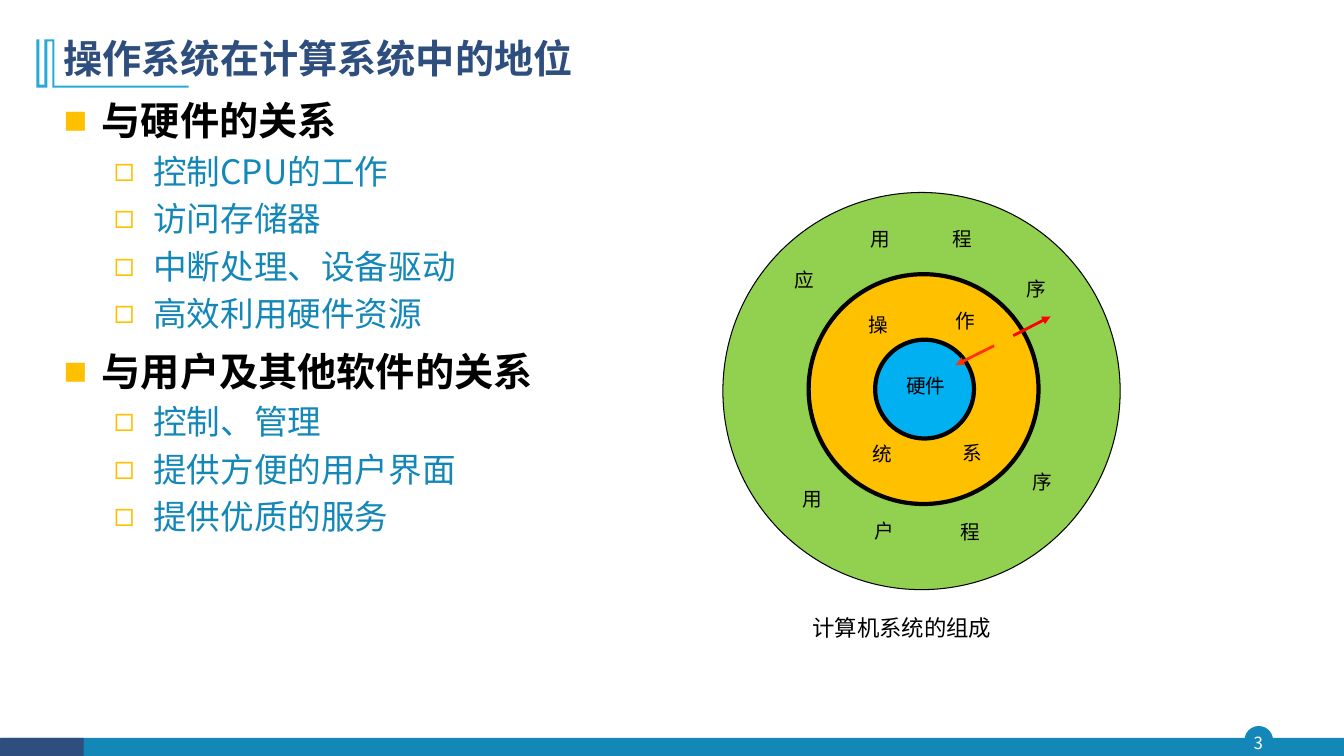
from dataclasses import dataclass

from lxml.etree import SubElement
from pptx import Presentation
from pptx.dml.color import RGBColor
from pptx.enum.shapes import MSO_CONNECTOR, MSO_SHAPE
from pptx.enum.text import MSO_ANCHOR, MSO_AUTO_SIZE, PP_ALIGN
from pptx.oxml.ns import qn
from pptx.util import Inches, Pt


@dataclass(frozen=True)
class Theme:
    navy: str = "2E4E7E"
    teal: str = "1387B7"
    sky: str = "28A9D6"
    amber: str = "FFC000"
    green: str = "92D050"
    blue: str = "00B0F0"
    black: str = "000000"
    white: str = "FFFFFF"
    red: str = "FF0000"
    orange_red: str = "FF3300"
    sans: str = "Noto Sans CJK SC"
    serif: str = "Times New Roman"
    heading: int = 28
    item: int = 24
    caption: int = 16
    label: int = 14
    page_number: int = 12


THEME = Theme()


@dataclass(frozen=True)
class Level:
    """Format of one outline level; indents in inches, spacing in points."""
    bullet: str
    indent: float
    hanging: float
    before: int
    size: int
    color: str
    bold: bool


@dataclass(frozen=True)
class Section:
    heading: str
    items: tuple[str, ...]


@dataclass(frozen=True)
class Ring:
    center_x: float
    center_y: float
    diameter: float
    fill: str
    line_width: float


@dataclass(frozen=True)
class Label:
    text: str
    left: float
    top: float
    width: float = 0.35
    height: float = 0.35


@dataclass(frozen=True)
class Arrow:
    start: tuple[float, float]
    end: tuple[float, float]
    color: str


HEADING = Level("■", 0.38, 0.38, 10, THEME.heading, THEME.black, True)
ITEM = Level("◻", 0.89, 0.39, 5, THEME.item, THEME.teal, False)

SECTIONS = (
    Section("与硬件的关系", ("控制CPU的工作", "访问存储器", "中断处理、设备驱动", "高效利用硬件资源")),
    Section("与用户及其他软件的关系", ("控制、管理", "提供方便的用户界面", "提供优质的服务")),
)

RINGS = (
    Ring(9.14, 3.88, 3.94, THEME.green, 0.75),
    Ring(9.16, 3.86, 2.28, THEME.amber, 3),
    Ring(9.17, 3.86, 0.98, THEME.blue, 3),
)

LABELS = (
    Label("硬件", 8.89, 3.66, 0.7, 0.44),
    Label("操", 8.52, 3.06), Label("作", 9.38, 3.02),
    Label("系", 9.45, 4.32), Label("统", 8.56, 4.33),
    Label("应", 7.78, 2.61), Label("用", 8.54, 2.2),
    Label("程", 9.35, 2.2), Label("序", 10.08, 2.7),
    Label("用", 7.86, 4.78), Label("户", 8.57, 5.1),
    Label("程", 9.43, 5.11), Label("序", 10.14, 4.61),
)

ARROWS = (
    Arrow((10.05, 3.33), (10.42, 3.14), THEME.red),
    Arrow((9.86, 3.43), (9.48, 3.62), THEME.orange_red),
)

TITLE_MARK = (
    (0.54, 0.39), (0.54, 0.85), (1.87, 0.85), (1.87, 0.87), (0.52, 0.87),
    (0.52, 0.41), (0.47, 0.41), (0.47, 0.87), (0.36, 0.87), (0.36, 0.39),
    (0.39, 0.39), (0.39, 0.84), (0.44, 0.84), (0.44, 0.39),
)


def write(para, text: str, *, size: int, color: str, font: str = THEME.sans,
          bold: bool = False, align=PP_ALIGN.LEFT, spacing: float = 1.0,
          before: float = 0) -> None:
    para.alignment = align
    para.line_spacing = spacing
    para.space_before = Pt(before)
    span = para.add_run()
    span.text = text
    span.font.size, span.font.bold, span.font.name = Pt(size), bold, font
    span.font.color.rgb = RGBColor.from_string(color)
    SubElement(span.font._element, qn("a:ea"), typeface=THEME.sans)


def indent(para, left: float, hanging: float) -> None:
    properties = para._p.get_or_add_pPr()
    properties.set("marL", str(Inches(left)))
    properties.set("indent", str(-Inches(hanging)))


def add_bullet(para, level: Level) -> None:
    indent(para, level.indent, level.hanging)
    properties = para._p.get_or_add_pPr()
    color = SubElement(properties, qn("a:buClr"))
    SubElement(color, qn("a:srgbClr"), val=THEME.amber)
    SubElement(properties, qn("a:buFont"), typeface="Arial")
    SubElement(properties, qn("a:buChar"), char=level.bullet)


def place(box, left: float, top: float, width: float, height: float) -> None:
    box.left, box.top = Inches(left), Inches(top)
    box.width, box.height = Inches(width), Inches(height)


def paint(shape, fill: str, line_width: float = 0, line: str = THEME.black) -> None:
    shape.shadow.inherit = False
    shape.fill.solid()
    shape.fill.fore_color.rgb = RGBColor.from_string(fill)
    if line_width:
        shape.line.width = Pt(line_width)
        shape.line.color.rgb = RGBColor.from_string(line)
    else:
        shape.line.fill.background()


def add_box(shapes, left: float, top: float, width: float, height: float):
    box = shapes.add_textbox(Inches(left), Inches(top), Inches(width), Inches(height))
    box.text_frame.word_wrap = True
    return box.text_frame


def add_preset(shapes, preset, left: float, top: float, width: float, height: float):
    return shapes.add_shape(preset, Inches(left), Inches(top), Inches(width), Inches(height))


def add_decoration(shapes) -> None:
    """Draw the footer band, the page number and the mark beside the title."""
    paint(add_preset(shapes, MSO_SHAPE.OVAL, 12.35, 7.21, 0.27, 0.27), THEME.teal, 1, THEME.teal)
    for left, width, color in ((0.01, 13.32, THEME.teal), (0, 0.83, THEME.navy)):
        paint(add_preset(shapes, MSO_SHAPE.RECTANGLE, left, 7.32, width, 0.19), color)
    frame = add_box(shapes, 12.32, 7.21, 0.32, 0.31)
    frame.margin_left = frame.margin_right = frame.margin_top = frame.margin_bottom = 0
    frame.vertical_anchor = MSO_ANCHOR.MIDDLE
    write(frame.paragraphs[0], "3", size=THEME.page_number, color=THEME.white,
          align=PP_ALIGN.CENTER)
    points = [(Inches(x), Inches(y)) for x, y in TITLE_MARK]
    outline = shapes.build_freeform(*points[0])
    outline.add_line_segments(points[1:], close=True)
    paint(outline.convert_to_shape(), THEME.sky)


def fill_title(title) -> None:
    place(title, 0.53, 0.34, 10.49, 0.56)
    title.text_frame.auto_size = MSO_AUTO_SIZE.NONE
    title.text_frame.vertical_anchor = MSO_ANCHOR.TOP
    write(title.text_frame.paragraphs[0], "操作系统在计算系统中的地位", size=THEME.heading,
          color=THEME.navy, bold=True, spacing=0.9)


def fill_outline(body) -> None:
    place(body, 0.53, 0.91, 12.35, 6.4)
    frame = body.text_frame
    frame.auto_size = MSO_AUTO_SIZE.NONE
    lines = [line for section in SECTIONS
             for line in ((section.heading, HEADING), *((item, ITEM) for item in section.items))]
    for index, (text, level) in enumerate(lines):
        para = frame.add_paragraph() if index else frame.paragraphs[0]
        para.level = int(level is ITEM)
        write(para, text, size=level.size, color=level.color, bold=level.bold,
              align=PP_ALIGN.JUSTIFY, before=level.before)
        add_bullet(para, level)


def add_arrow(shapes, arrow: Arrow) -> None:
    ends = [Inches(value) for value in (*arrow.start, *arrow.end)]
    connector = shapes.add_connector(MSO_CONNECTOR.STRAIGHT, *ends)
    connector.line.width = Pt(2)
    connector.line.color.rgb = RGBColor.from_string(arrow.color)
    properties = connector.element.spPr
    SubElement(properties.find(qn("a:ln")), qn("a:tailEnd"), type="triangle")
    SubElement(properties, qn("a:effectLst"))


def add_diagram(shapes) -> None:
    group = shapes.add_group_shape().shapes
    for ring in RINGS:
        radius = ring.diameter / 2
        paint(add_preset(group, MSO_SHAPE.OVAL, ring.center_x - radius, ring.center_y - radius,
                         ring.diameter, ring.diameter), ring.fill, ring.line_width)
    for label in LABELS:
        frame = add_box(group, label.left, label.top, label.width, label.height)
        write(frame.paragraphs[0], label.text, size=THEME.label, color=THEME.black,
              font=THEME.serif, align=PP_ALIGN.JUSTIFY)
    for arrow in ARROWS:
        add_arrow(shapes, arrow)
    caption = add_box(shapes, 7.33, 5.96, 3.05, 0.45).paragraphs[0]
    write(caption, "计算机系统的组成", size=THEME.caption, color=THEME.black,
          font=THEME.serif, spacing=1.3, before=5)
    indent(caption, 1, 0.37)


def main() -> None:
    deck = Presentation()
    deck.slide_width, deck.slide_height = Inches(13.33), Inches(7.5)
    page = deck.slides.add_slide(deck.slide_layouts[1])
    add_decoration(page.shapes)
    fill_title(page.shapes.title)
    fill_outline(page.placeholders[1])
    add_diagram(page.shapes)
    deck.save("out.pptx")


if __name__ == "__main__":
    main()
